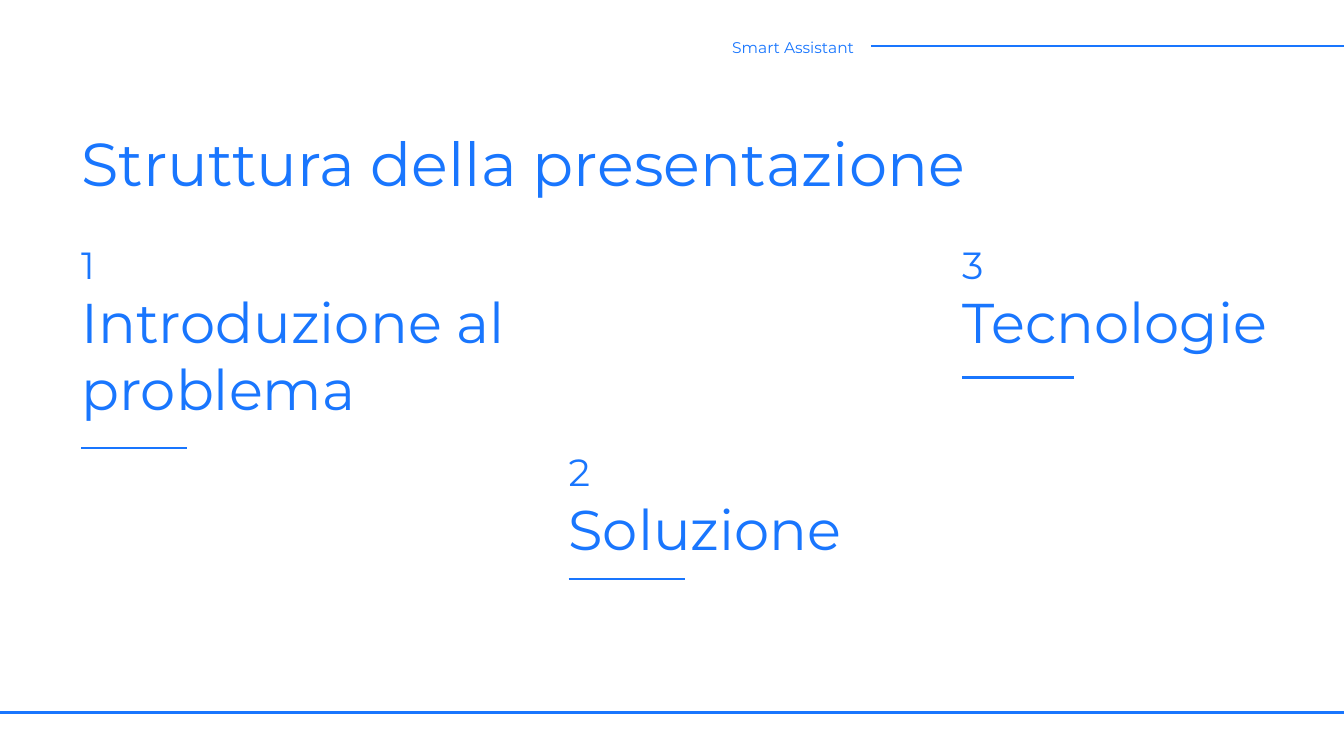
import pptx
import pptx.dml.color
import pptx.enum.shapes
import pptx.enum.text
import pptx.oxml.ns
import pptx.util
from lxml import etree

Cm = pptx.util.Cm
Pt = pptx.util.Pt
ALIGN = pptx.enum.text.PP_ALIGN

BLUE = pptx.dml.color.RGBColor(0x19, 0x76, 0xFE)
FONT = "Montserrat"
SLIDE_WIDTH, SLIDE_HEIGHT = 50.8, 28.58
MARGIN_LEFT = 3.07

# number, heading, left, heading top, width, lines, number spacing (pt), rule top, rule length
SECTIONS = [
    ("1", "Introduzione al problema", MARGIN_LEFT, 10.87, 17.86, 2, 56.7, 16.94, 4.01),
    ("2", "Soluzione", 21.49, 18.69, 12.4, 1, 48.6, 21.89, 4.42),
    ("3", "Tecnologie", 36.37, 10.87, 13.08, 1, 56.7, 14.27, 4.24),
]
NUMBER_WIDTH = 6.76
HEADING_LINE_HEIGHT = 2.54


def format_text(box, text, size, spacing, align=ALIGN.LEFT):
    """Fill a text box or placeholder with one paragraph."""
    frame = box.text_frame
    frame.margin_left = frame.margin_right = 0
    frame.margin_top = frame.margin_bottom = 0
    frame.word_wrap = True
    frame.auto_size = pptx.enum.text.MSO_AUTO_SIZE.NONE
    frame.vertical_anchor = pptx.enum.text.MSO_ANCHOR.TOP
    para = frame.paragraphs[0]
    para.alignment = align
    para.line_spacing = Pt(spacing)
    para.space_before = Pt(0)
    span = para.add_run()
    span.text = text
    span.font.name = FONT
    span.font.size = Pt(size)
    span.font.color.rgb = BLUE


def add_text(slide, text, left, top, width, height, size, spacing, align=ALIGN.LEFT):
    box = slide.shapes.add_textbox(Cm(left), Cm(top), Cm(width), Cm(height))
    format_text(box, text, size, spacing, align)


def add_title(slide, text, left, top, width, height):
    title = slide.shapes.title
    title.left, title.top = Cm(left), Cm(top)
    title.width, title.height = Cm(width), Cm(height)
    format_text(title, text, 65, 91)


def add_rule(slide, left, top, length, weight=2.25):
    """Draw a horizontal line without a shadow."""
    rule = slide.shapes.add_connector(
        pptx.enum.shapes.MSO_CONNECTOR.STRAIGHT,
        Cm(left), Cm(top), Cm(left + length), Cm(top))
    rule.line.color.rgb = BLUE
    rule.line.width = Pt(weight)
    etree.SubElement(rule._element.spPr, pptx.oxml.ns.qn("a:effectLst"))


def add_section(slide, number, heading, left, top, width, lines,
                number_spacing, rule_top, rule_length):
    """Stack a number, its heading and a short rule."""
    number_height = Pt(number_spacing).cm
    add_text(slide, number, left, top - number_height, NUMBER_WIDTH, number_height,
             40.5, number_spacing)
    add_text(slide, heading, left, top, width, lines * HEADING_LINE_HEIGHT, 60, 72)
    add_rule(slide, left, rule_top, rule_length)


def main():
    deck = pptx.Presentation()
    deck.slide_width, deck.slide_height = Cm(SLIDE_WIDTH), Cm(SLIDE_HEIGHT)
    slide = deck.slides.add_slide(deck.slide_layouts[5])

    # Header and footer lines
    add_text(slide, "Smart Assistant", 23.09, 1.32, 9.19, 0.79, 16.6, 23.2, ALIGN.RIGHT)
    add_rule(slide, 32.92, 1.75, SLIDE_WIDTH - 32.92)
    add_rule(slide, 0, 26.95, SLIDE_WIDTH, weight=3)

    # Title and agenda
    add_title(slide, "Struttura della presentazione", MARGIN_LEFT, 4.29, 38.79, 3.12)
    for section in SECTIONS:
        add_section(slide, *section)

    deck.save("out.pptx")


if __name__ == "__main__":
    main()
